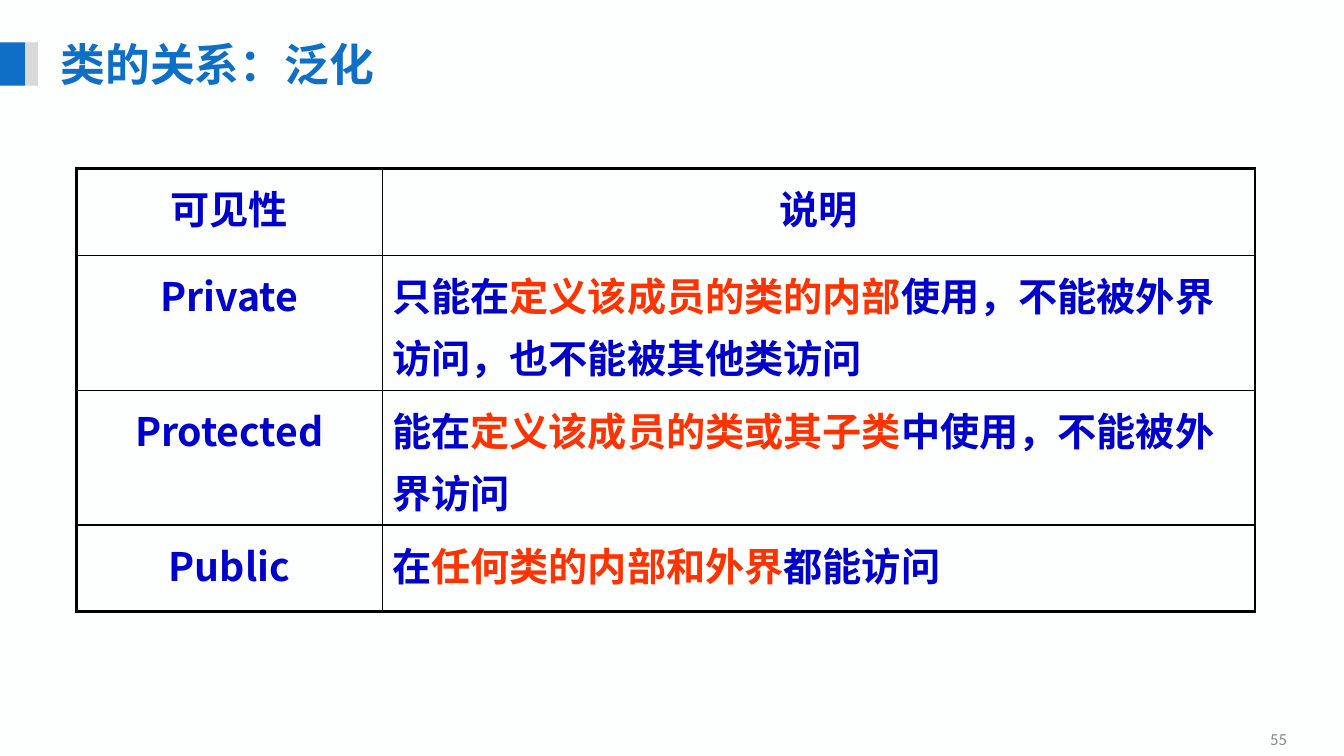
from lxml import etree
from pptx import Presentation
from pptx.dml.color import RGBColor
from pptx.enum.shapes import MSO_SHAPE
from pptx.enum.text import MSO_ANCHOR, PP_ALIGN
from pptx.oxml.ns import qn
from pptx.util import Cm, Pt

CJK = "Noto Sans CJK SC"
BLUE, RED, THEME_BLUE = "0000CC", "FF3300", "0F6FC6"
HEADER = ("可见性", "说明")
# Each description is (start, emphasised part, end).
RULES = [
    ("Private", ("只能在", "定义该成员的类的内部", "使用，不能被外界访问，也不能被其他类访问")),
    ("Protected", ("能在", "定义该成员的类或其子类", "中使用，不能被外界访问")),
    ("Public", ("在", "任何类的内部和外界", "都能访问")),
]


def color(value):
    return RGBColor.from_string(value)


def add_text(p, text, size=28, font=CJK, fill=BLUE, bold=True):
    r = p.add_run()
    r.text = text
    r.font.size, r.font.name, r.font.bold = Pt(size), font, bold
    r.font.color.rgb = color(fill)
    etree.SubElement(r.font._element, qn("a:ea"), typeface=font)


def add_bar(slide, left, top, width, height, fill):
    sp = slide.shapes.add_shape(MSO_SHAPE.RECTANGLE, Cm(left), Cm(top), Cm(width), Cm(height))
    sp.shadow.inherit = False
    sp.fill.solid()
    sp.fill.fore_color.rgb = color(fill)
    sp.line.fill.background()


def add_heading(slide, left, top, width, height):
    """Place the two edge bars and the title beside them."""
    blue_width, gray_width = 0.64, 0.32
    bar_top, bar_height = top + 0.28, 1.09
    add_bar(slide, left, bar_top, blue_width, bar_height, THEME_BLUE)
    add_bar(slide, left + blue_width, bar_top, gray_width, bar_height, "D9D9D9")
    title = slide.shapes.title
    title.left, title.top = Cm(left + 1.27), Cm(top)
    title.width, title.height = Cm(width), Cm(height)
    tf = title.text_frame
    tf.vertical_anchor = MSO_ANCHOR.MIDDLE
    p = tf.paragraphs[0]
    p.alignment = PP_ALIGN.LEFT
    add_text(p, "类的关系：泛化", size=32, fill=THEME_BLUE)


def format_cell(cell, outer_sides):
    """Leave the cell unfilled, with heavier lines on the outer sides."""
    tcPr = cell._tc.get_or_add_tcPr()
    for side in "LRTB":
        width = Pt(2.25 if side in outer_sides else 1)
        ln = etree.SubElement(tcPr, qn(f"a:ln{side}"), w=str(width))
        fill = etree.SubElement(ln, qn("a:solidFill"))
        etree.SubElement(fill, qn("a:srgbClr"), val="000000")
    cell.fill.background()


def add_visibility_table(slide, left, top, col_widths, row_heights):
    table = slide.shapes.add_table(
        len(row_heights), len(col_widths), Cm(left), Cm(top),
        Cm(sum(col_widths)), Cm(sum(row_heights))).table
    table.first_row = table.horz_banding = False
    for column, width in zip(table.columns, col_widths):
        column.width = Cm(width)
    for row, height in zip(table.rows, row_heights):
        row.height = Cm(height)

    last = len(row_heights) - 1
    contents = [HEADER, *RULES]
    for i, row in enumerate(contents):
        for j, content in enumerate(row):
            cell = table.cell(i, j)
            format_cell(cell, "LR"[j] + {0: "T", last: "B"}.get(i, ""))
            p = cell.text_frame.paragraphs[0]
            p.line_spacing = 1.1
            if isinstance(content, str):
                p.alignment = PP_ALIGN.CENTER
                add_text(p, content)
            else:
                p.alignment = PP_ALIGN.LEFT
                for part, fill in zip(content, (BLUE, RED, BLUE)):
                    add_text(p, part, fill=fill)


def add_page_number(slide, left, top, width, height):
    tf = slide.shapes.add_textbox(Cm(left), Cm(top), Cm(width), Cm(height)).text_frame
    tf.word_wrap = True
    tf.vertical_anchor = MSO_ANCHOR.MIDDLE
    p = tf.paragraphs[0]
    p.alignment = PP_ALIGN.RIGHT
    add_text(p, "55", size=12, font="Calibri", fill="898989", bold=False)


def main():
    prs = Presentation()
    prs.slide_width, prs.slide_height = Cm(33.87), Cm(19.05)
    slide = prs.slides.add_slide(prs.slide_layouts[5])
    slide.background.fill.solid()
    slide.background.fill.fore_color.rgb = color("FDFEFE")
    add_heading(slide, 0, 0.79, 19.86, 1.63)
    add_visibility_table(slide, 1.93, 4.25, (7.7, 22), (2.18, 3.4, 3.4, 2.18))
    add_page_number(slide, 24.79, 18.16, 7.9, 0.89)
    prs.save("out.pptx")


if __name__ == "__main__":
    main()
